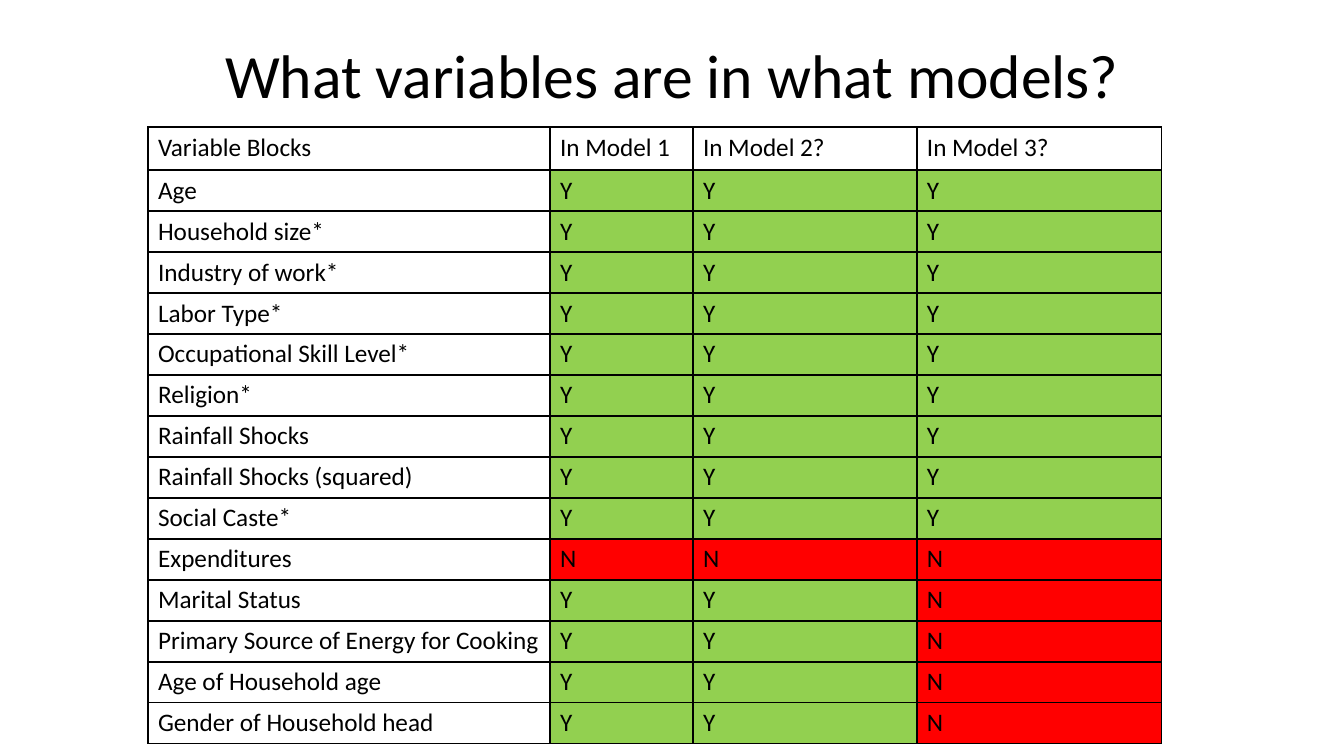
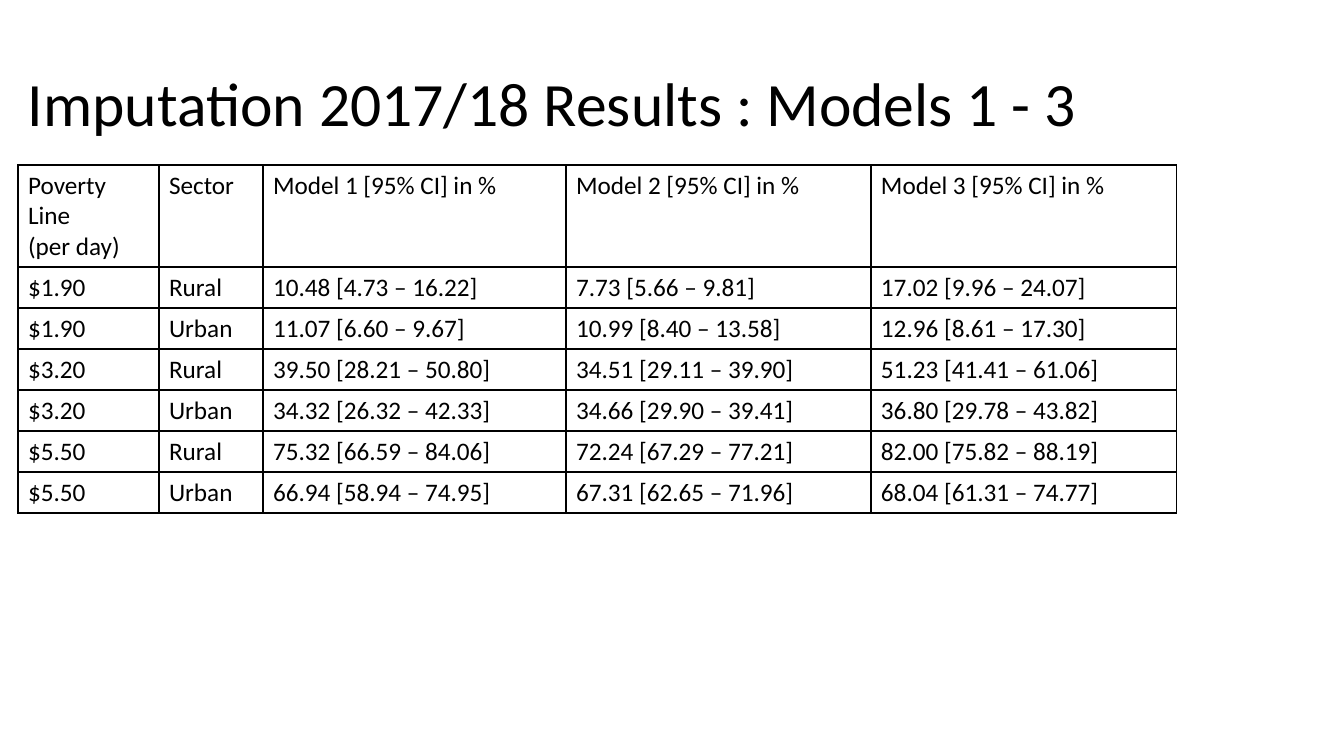
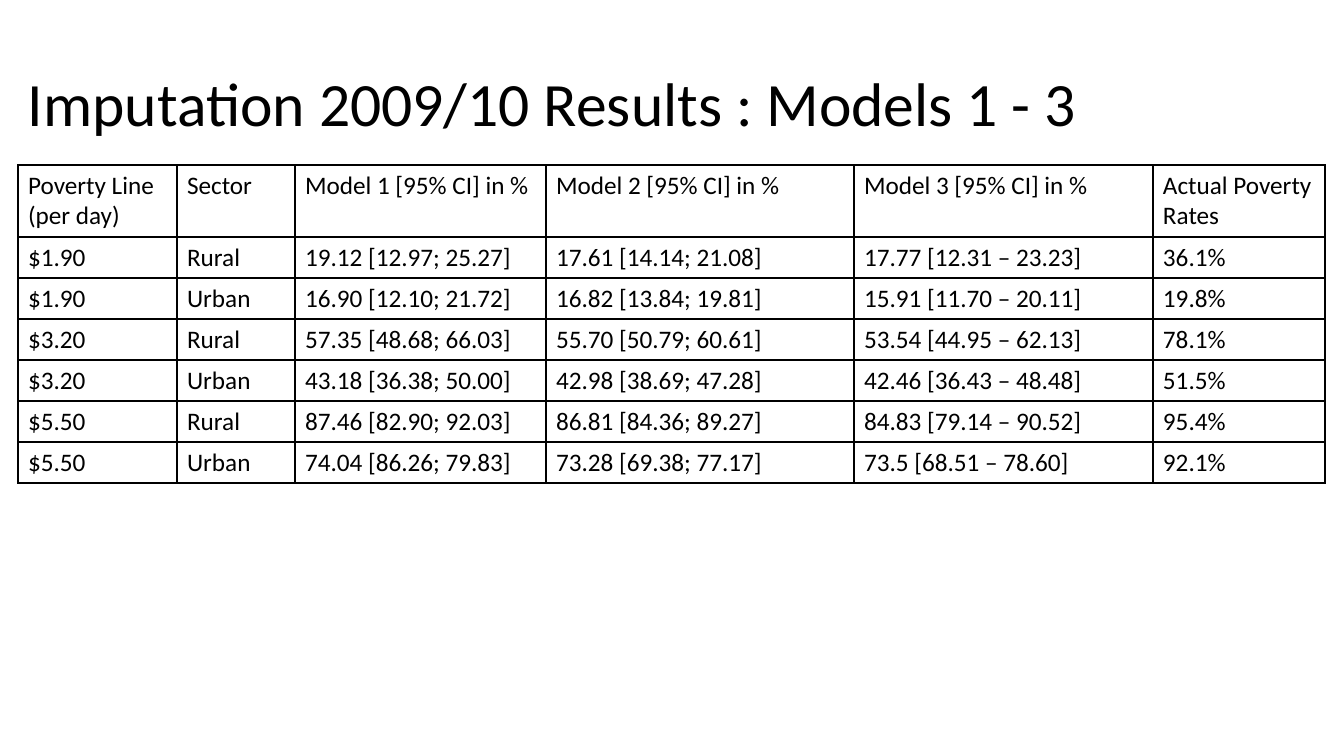
import pptx
import pptx.dml.color
import pptx.enum.text
import pptx.oxml
import pptx.util

COLOURS = {"ink": "000000", "yes": "92D050", "no": "FF0000"}
FONT = "Calibri"
ROW_HEIGHT = 41
SIDES = ("lnL", "lnR", "lnT", "lnB")
BORDER = (
    '<a:{side} xmlns:a="http://schemas.openxmlformats.org/drawingml/2006/main" w="12700">'
    '<a:solidFill><a:srgbClr val="{colour}"/></a:solidFill></a:{side}>'
)
ALIGN = pptx.enum.text.PP_ALIGN


def pixels(length):
    return pptx.util.Emu(round(length * 914400 / 100.8))


def colour(name):
    return pptx.dml.color.RGBColor.from_string(COLOURS[name])


def write(frame, text, size=18, align=ALIGN.LEFT, spacing=1.0):
    for index, line in enumerate(text.split("\n")):
        para = frame.add_paragraph() if index else frame.paragraphs[0]
        para.alignment = align
        para.line_spacing = spacing
        span = para.add_run()
        span.text = line
        span.font.name = FONT
        span.font.size = pptx.util.Pt(size)
        span.font.color.rgb = colour("ink")


class Slides:
    """Builds pages that share one title style and one ruled table style."""

    def __init__(self):
        self.deck = pptx.Presentation()
        self.deck.slide_width = pixels(1344)
        self.deck.slide_height = pixels(756)
        self.page = None

    def add_page(self):
        self.page = self.deck.slides.add_slide(self.deck.slide_layouts[6])

    def title(self, text, left=18, top=33, align=ALIGN.LEFT):
        box = self.page.shapes.add_textbox(*map(pixels, (left, top, 1159, 146)))
        frame = box.text_frame
        frame.word_wrap = True
        frame.vertical_anchor = pptx.enum.text.MSO_ANCHOR.MIDDLE
        write(frame, text, size=44, align=align, spacing=0.9)

    def table(self, rows, widths, header_height, left=18, top=165, fills=None):
        heights = [header_height] + [ROW_HEIGHT] * (len(rows) - 1)
        area = (left, top, sum(widths), sum(heights))
        table = self.page.shapes.add_table(
            len(rows), len(widths), *map(pixels, area)
        ).table
        table.first_row = False
        table.horz_banding = False
        for column, width in zip(table.columns, widths):
            column.width = pixels(width)
        for row, height, texts in zip(table.rows, heights, rows):
            row.height = pixels(height)
            for cell, text in zip(row.cells, texts):
                self.cell(cell, text, (fills or {}).get(text))

    def cell(self, cell, text, fill):
        write(cell.text_frame, text)
        properties = cell._tc.get_or_add_tcPr()
        for side in SIDES:
            border = BORDER.format(side=side, colour=COLOURS["ink"])
            properties.append(pptx.oxml.parse_xml(border))
        if fill:
            cell.fill.solid()
            cell.fill.fore_color.rgb = colour(fill)
        else:
            cell.fill.background()


VARIABLE_BLOCKS = {
    "Age": "YYY",
    "Household size*": "YYY",
    "Industry of work*": "YYY",
    "Labor Type*": "YYY",
    "Occupational Skill Level*": "YYY",
    "Religion*": "YYY",
    "Rainfall Shocks": "YYY",
    "Rainfall Shocks (squared)": "YYY",
    "Social Caste*": "YYY",
    "Expenditures": "NNN",
    "Marital Status": "YYN",
    "Primary Source of Energy for Cooking": "YYN",
    "Age of Household age": "YYN",
    "Gender of Household head": "YYN",
}
RESULT_HEADER = ["Poverty Line\n(per day)", "Sector"] + [
    f"Model {number} [95% CI] in %" for number in (1, 2, 3)
]
LINES_AND_SECTORS = [
    [line, sector] for line in ("$1.90", "$3.20", "$5.50") for sector in ("Rural", "Urban")
]
RESULTS_2017 = [
    ["10.48 [4.73 – 16.22]", "7.73 [5.66 – 9.81]", "17.02 [9.96 – 24.07]"],
    ["11.07 [6.60 – 9.67]", "10.99 [8.40 – 13.58]", "12.96 [8.61 – 17.30]"],
    ["39.50 [28.21 – 50.80]", "34.51 [29.11 – 39.90]", "51.23 [41.41 – 61.06]"],
    ["34.32 [26.32 – 42.33]", "34.66 [29.90 – 39.41]", "36.80 [29.78 – 43.82]"],
    ["75.32 [66.59 – 84.06]", "72.24 [67.29 – 77.21]", "82.00 [75.82 – 88.19]"],
    ["66.94 [58.94 – 74.95]", "67.31 [62.65 – 71.96]", "68.04 [61.31 – 74.77]"],
]
RESULTS_2009 = [
    ["19.12 [12.97; 25.27]", "17.61 [14.14; 21.08]", "17.77 [12.31 – 23.23]", "36.1%"],
    ["16.90 [12.10; 21.72]", "16.82 [13.84; 19.81]", "15.91 [11.70 – 20.11]", "19.8%"],
    ["57.35 [48.68; 66.03]", "55.70 [50.79; 60.61]", "53.54 [44.95 – 62.13]", "78.1%"],
    ["43.18 [36.38; 50.00]", "42.98 [38.69; 47.28]", "42.46 [36.43 – 48.48]", "51.5%"],
    ["87.46 [82.90; 92.03]", "86.81 [84.36; 89.27]", "84.83 [79.14 – 90.52]", "95.4%"],
    ["74.04 [86.26; 79.83]", "73.28 [69.38; 77.17]", "73.5 [68.51 – 78.60]", "92.1%"],
]


def result_rows(results, extra_headers=()):
    body = [labels + values for labels, values in zip(LINES_AND_SECTORS, results)]
    return [RESULT_HEADER + list(extra_headers)] + body


slides = Slides()

slides.add_page()
slides.title("What variables are in what models?", left=93, top=6, align=ALIGN.CENTER)
slides.table(
    [["Variable Blocks", "In Model 1", "In Model 2?", "In Model 3?"]]
    + [[block, *answers] for block, answers in VARIABLE_BLOCKS.items()],
    widths=[402, 143, 224, 245],
    header_height=43,
    left=148,
    top=127,
    fills={"Y": "yes", "N": "no"},
)

slides.add_page()
slides.title("Imputation 2017/18 Results : Models 1 - 3")
slides.table(
    result_rows(RESULTS_2017), widths=[141, 104, 303, 305, 306], header_height=102
)

slides.add_page()
slides.title("Imputation 2009/10 Results : Models 1 - 3")
slides.table(
    result_rows(RESULTS_2009, ["Actual Poverty Rates"]),
    widths=[159, 118, 251, 308, 299, 172],
    header_height=72,
)

slides.deck.save("out.pptx")
